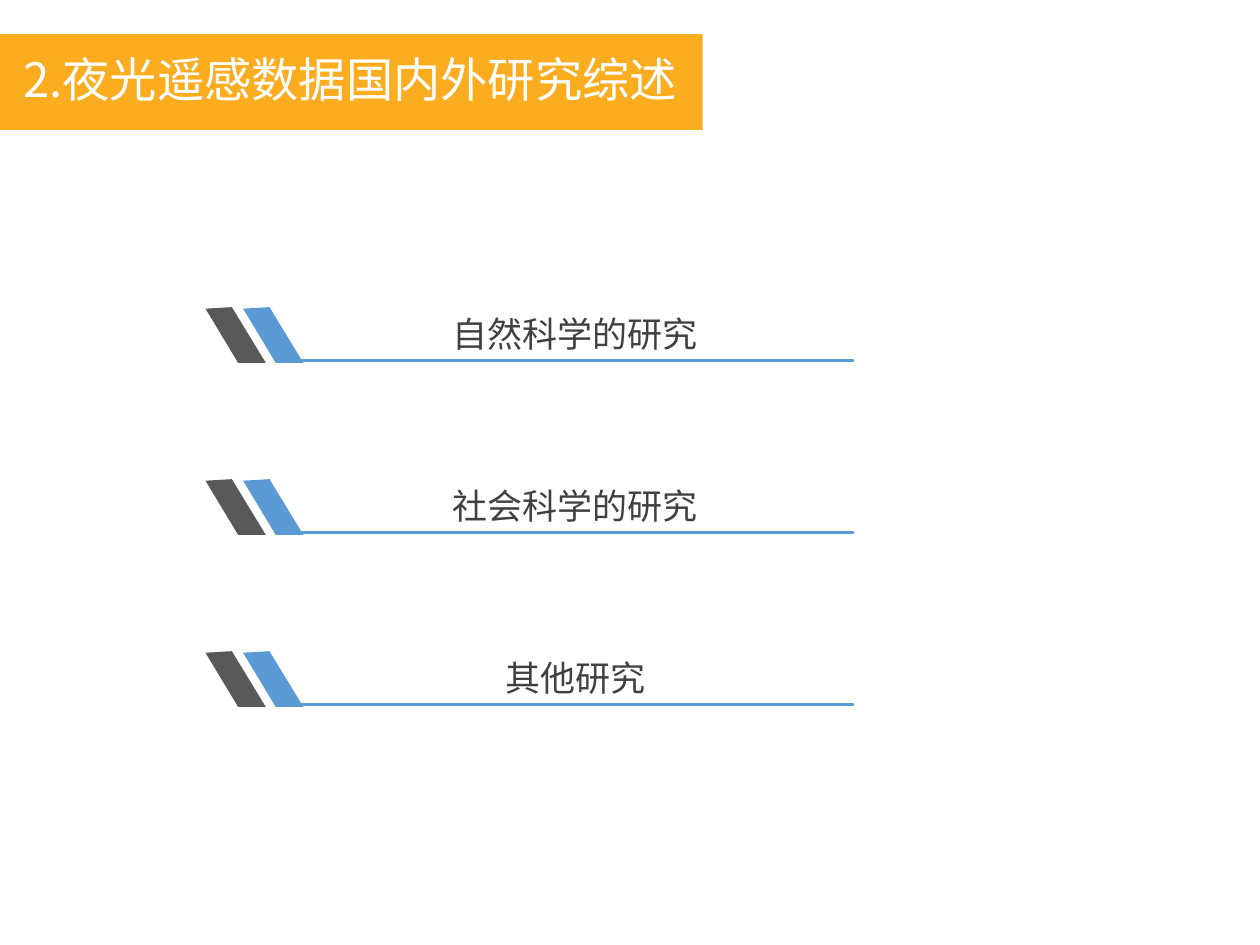
from lxml import etree
from pptx import Presentation
from pptx.dml.color import RGBColor
from pptx.enum.shapes import MSO_SHAPE
from pptx.enum.text import MSO_ANCHOR, PP_ALIGN
from pptx.oxml.ns import qn
from pptx.util import Pt

RECT = MSO_SHAPE.RECTANGLE
MIDDLE, BOTTOM = MSO_ANCHOR.MIDDLE, MSO_ANCHOR.BOTTOM
CENTER = PP_ALIGN.CENTER

FONT = "Noto Sans CJK SC"
ORANGE, BLUE, GRAY, DARK, WHITE = "FCAC1F", "5B9BD5", "595959", "404040", "FFFFFF"
TITLE = "2.夜光遥感数据国内外研究综述"
TOPICS = ["自然科学的研究", "社会科学的研究", "其他研究"]
BARS = [GRAY, BLUE]
SLANT = [(117.4, 176.4), (132.5, 175.5), (151.9, 207.4), (136.1, 207.4)]
PITCH, STEP = 98.3, 21.5
LEFT, TOP, WIDTH, HEIGHT = 170, 160, 317.5, 46


def color(code):
    return RGBColor.from_string(code)


def paint(shape, code):
    shape.shadow.inherit = False
    shape.fill.solid()
    shape.fill.fore_color.rgb = color(code)
    shape.line.fill.background()


def write(shape, text, size, code, anchor, space, pad):
    frame = shape.text_frame
    frame.text = text
    frame.word_wrap = True
    frame.vertical_anchor = anchor
    frame.margin_left = frame.margin_right = Pt(pad[0])
    frame.margin_top = frame.margin_bottom = Pt(pad[1])
    line = frame.paragraphs[0]
    line.alignment = CENTER
    line.line_spacing = space
    font = line.runs[0].font
    font.size = Pt(size)
    font.name = FONT
    font.color.rgb = color(code)
    etree.SubElement(font._element, qn("a:ea")).set("typeface", FONT)


def slant(shapes, dx, dy, code):
    dots = [(Pt(x + dx), Pt(y + dy)) for x, y in SLANT]
    pen = shapes.build_freeform(*dots[0])
    pen.add_line_segments(dots[1:], close=True)
    paint(pen.convert_to_shape(), code)


def label(shapes, top):
    start, end = Pt(LEFT), Pt(LEFT + WIDTH)
    high, low = Pt(top), Pt(top + HEIGHT)
    pen = shapes.build_freeform(start, low)
    pen.add_line_segments([(end, low)], close=True)
    pen.move_to(start, high)
    pen.add_line_segments([(start, high)], close=True)
    shape = pen.convert_to_shape()
    shape.shadow.inherit = False
    shape.fill.background()
    shape.line.color.rgb = color(BLUE)
    shape.line.width = Pt(1.5)
    return shape


def main():
    deck = Presentation()
    deck.slide_width, deck.slide_height = Pt(720), Pt(540)
    slide = deck.slides.add_slide(deck.slide_layouts[6])

    head = slide.shapes.add_shape(RECT, Pt(-1.2), Pt(19.5), Pt(402.7), Pt(54.7))
    paint(head, ORANGE)
    write(head, TITLE, 27, WHITE, MIDDLE, 0.9, (5, 2.7))

    for row, topic in enumerate(TOPICS):
        shapes = slide.shapes.add_group_shape().shapes
        drop = row * PITCH
        for col, code in enumerate(BARS):
            slant(shapes, col * STEP, drop, code)
        box = label(shapes, TOP + drop)
        write(box, topic, 20, DARK, BOTTOM, 1.3, (8.6, 3.6))

    deck.save("out.pptx")


if __name__ == "__main__":
    main()
